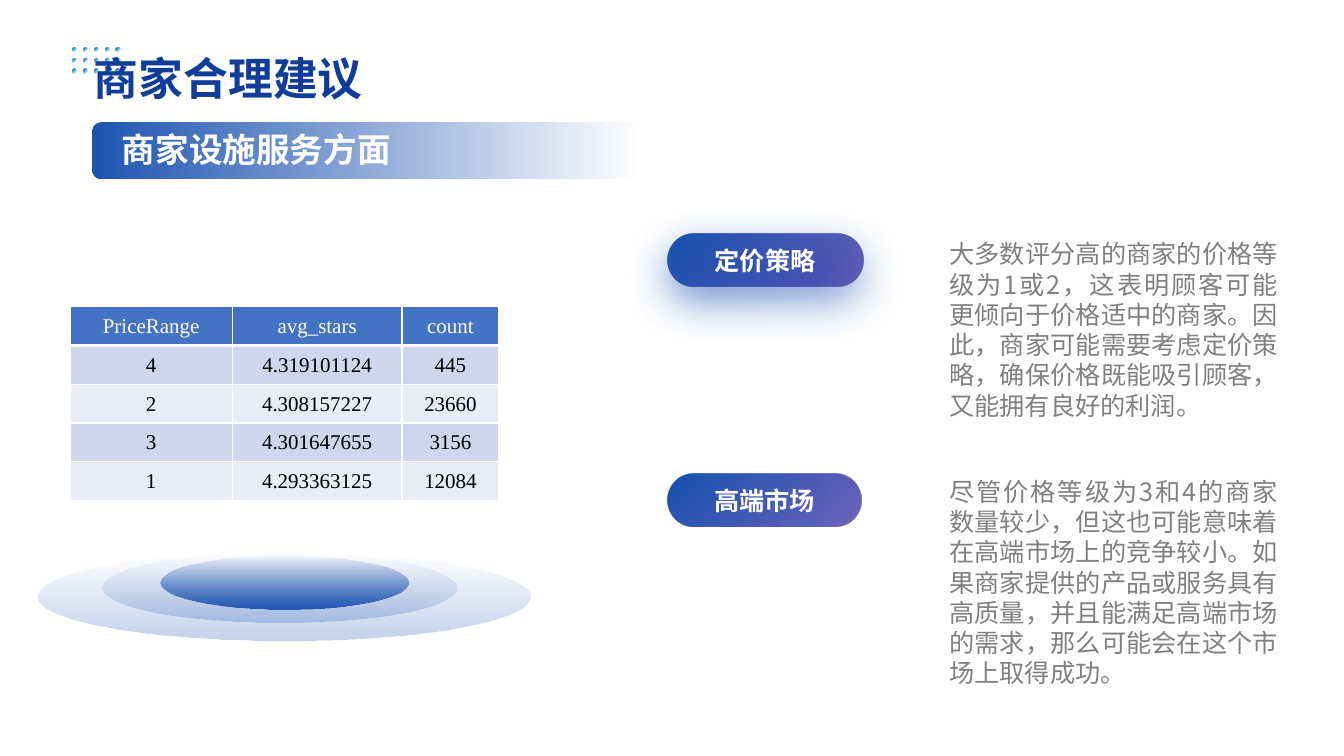
from itertools import product

from lxml.etree import SubElement
from pptx import Presentation
from pptx.dml.color import RGBColor
from pptx.enum.shapes import MSO_SHAPE
from pptx.enum.text import MSO_ANCHOR, MSO_AUTO_SIZE, PP_ALIGN
from pptx.oxml import parse_xml
from pptx.oxml.ns import nsdecls, qn
from pptx.util import Pt

COLORS = {
    "title": "0F3D99",
    "blue": "1D54B1",
    "violet": "463DA9",
    "dot": "006FAC",
    "dot_end": "0086CE",
    "body": "808080",
    "white": "FFFFFF",
    "black": "000000",
    "header": "4472C4",
    "odd_row": "CFD5EA",
    "even_row": "E9EBF5",
}
SANS = "Noto Sans CJK SC"
SERIF = "Times New Roman"

# Gradient stops: position in percent, colour name, opacity in percent
PILL_STOPS = [(8, "blue", 100), (100, "violet", 79)]
DOT_STOPS = [(18, "dot", 100), (82, "dot_end", 0)]
BANNER_STOPS = [(0, "blue", 100), (100, "blue", 0)]

PRICE_TABLE = [
    ("PriceRange", "avg_stars", "count"),
    ("4", "4.319101124", "445"),
    ("2", "4.308157227", "23660"),
    ("3", "4.301647655", "3156"),
    ("1", "4.293363125", "12084"),
]
PRICING_ADVICE = (
    "大多数评分高的商家的价格等级为1或2，这表明顾客可能更倾向于价格适中的商家。"
    "因此，商家可能需要考虑定价策略，确保价格既能吸引顾客，又能拥有良好的利润。"
)
PREMIUM_ADVICE = (
    "尽管价格等级为3和4的商家数量较少，但这也可能意味着在高端市场上的竞争较小。"
    "如果商家提供的产品或服务具有高质量，并且能满足高端市场的需求，"
    "那么可能会在这个市场上取得成功。"
)


def color(name):
    return RGBColor.from_string(COLORS[name])


def write(frame, text, size, color_name, font=SANS, bold=False, align=PP_ALIGN.LEFT):
    frame.text = text
    paragraph = frame.paragraphs[0]
    paragraph.alignment = align
    run = paragraph.runs[0]
    run.font.size = Pt(size)
    run.font.bold = bold
    run.font.name = font
    run.font.color.rgb = color(color_name)
    SubElement(run.font._element, qn("a:ea"), typeface=font)
    return paragraph


def add_gradient_shape(slide, preset, box, stops, angle):
    shape = slide.shapes.add_shape(preset, *map(Pt, box))
    shape.shadow.inherit = False
    shape.line.fill.background()
    stop_xml = "".join(
        f'<a:gs pos="{position * 1000}"><a:srgbClr val="{COLORS[name]}">'
        f'<a:alpha val="{opacity * 1000}"/></a:srgbClr></a:gs>'
        for position, name, opacity in stops
    )
    gradient = parse_xml(
        f'<a:gradFill {nsdecls("a")} rotWithShape="1"><a:gsLst>{stop_xml}</a:gsLst>'
        f'<a:lin ang="{angle * 60000}" scaled="0"/></a:gradFill>'
    )
    shape._element.spPr.find(qn("a:prstGeom")).addnext(gradient)
    return shape


def add_glow_shadow(shape):
    """Give the shape a soft blue shadow below it."""
    effects = shape._element.spPr.find(qn("a:effectLst"))
    effects.append(parse_xml(
        f'<a:outerShdw {nsdecls("a")} blurRad="{Pt(31)}" dist="{Pt(11.3)}" '
        f'dir="5400000" algn="ctr" rotWithShape="0"><a:srgbClr val="{COLORS["blue"]}">'
        '<a:alpha val="64000"/></a:srgbClr></a:outerShdw>'
    ))


def add_podium(slide):
    discs = [((26.6, 394.6, 352, 62.6), 27),
             ((73.4, 394.6, 252.7, 50.4), 25),
             ((114.5, 396.7, 177.1, 38.9), 100)]
    for box, opacity in discs:
        stops = [(0, "blue", 0), (100, "blue", opacity)]
        add_gradient_shape(slide, MSO_SHAPE.OVAL, box, stops, 90)


def add_dot_grid(slide):
    pitch = 7.75
    for row, column in product(range(3), range(5)):
        box = (51.8 + column * pitch, 33.8 + row * pitch, 3, 3)
        add_gradient_shape(slide, MSO_SHAPE.OVAL, box, DOT_STOPS, 45)


def add_pill(slide, label, top, width):
    box = (476.6, top, width, 37.8)
    pill = add_gradient_shape(slide, MSO_SHAPE.ROUNDED_RECTANGLE, box, PILL_STOPS, 45)
    pill.adjustments[0] = 0.5
    pill.text_frame.vertical_anchor = MSO_ANCHOR.MIDDLE
    write(pill.text_frame, label, 18, "white", bold=True, align=PP_ALIGN.CENTER)
    return pill


def place_title(slide, text):
    title = slide.shapes.title
    title.left, title.top, title.width, title.height = map(Pt, (67, 32.4, 209.5, 46))
    frame = title.text_frame
    frame.margin_left = 0
    frame.vertical_anchor = MSO_ANCHOR.TOP
    frame.auto_size = MSO_AUTO_SIZE.NONE
    write(frame, text, 32, "title", bold=True)
    slide.shapes._spTree.append(title._element)  # in front of the dots


def add_banner(slide, text):
    box = (66.2, 87.4, 390.2, 40)
    banner = add_gradient_shape(slide, MSO_SHAPE.ROUNDED_RECTANGLE, box, BANNER_STOPS, 0)
    banner.adjustments[0] = 0.139
    banner.text_frame.vertical_anchor = MSO_ANCHOR.MIDDLE
    paragraph = write(banner.text_frame, text, 24, "white", bold=True)
    paragraph.line_spacing = Pt(27)
    paragraph._p.get_or_add_pPr().set("indent", str(Pt(12.2)))


def add_advice(slide, text, top, height):
    advice = slide.shapes.add_textbox(Pt(671), Pt(top), Pt(249.1), Pt(height))
    advice.text_frame.word_wrap = True
    write(advice.text_frame, text, 18, "body", align=PP_ALIGN.JUSTIFY)


def set_borders(cell, bottom):
    properties = cell._tc.get_or_add_tcPr()
    for index, (side, width) in enumerate(zip("LRTB", (1, 1, 1, bottom))):
        properties.insert(index, parse_xml(
            f'<a:ln{side} {nsdecls("a")} w="{Pt(width)}"><a:solidFill>'
            f'<a:srgbClr val="{COLORS["white"]}"/></a:solidFill></a:ln{side}>'
        ))


def add_price_table(slide):
    widths = (116, 121.1, 69.4)
    row_height = 27.65
    table = slide.shapes.add_table(
        len(PRICE_TABLE), len(widths), Pt(50), Pt(219.2),
        Pt(sum(widths)), Pt(row_height * len(PRICE_TABLE)),
    ).table
    for column, width in zip(table.columns, widths):
        column.width = Pt(width)
    for row_index, values in enumerate(PRICE_TABLE):
        is_header = row_index == 0
        band = "header" if is_header else ("even_row", "odd_row")[row_index % 2]
        table.rows[row_index].height = Pt(row_height)
        for cell, value in zip(table.rows[row_index].cells, values):
            cell.margin_left = cell.margin_right = cell.margin_top = Pt(0.7)
            cell.margin_bottom = 0
            cell.vertical_anchor = MSO_ANCHOR.MIDDLE
            cell.fill.solid()
            cell.fill.fore_color.rgb = color(band)
            set_borders(cell, 3 if is_header else 1)
            write(cell.text_frame, value, 15, "white" if is_header else "black",
                  font=SERIF, align=PP_ALIGN.CENTER)


def main():
    presentation = Presentation()
    presentation.slide_width, presentation.slide_height = Pt(960), Pt(540)
    slide = presentation.slides.add_slide(presentation.slide_layouts[5])

    add_podium(slide)
    add_pill(slide, "高端市场", 338.4, 139)
    add_glow_shadow(add_pill(slide, "定价策略", 166.8, 140))
    add_dot_grid(slide)
    place_title(slide, "商家合理建议")
    add_banner(slide, "商家设施服务方面")
    add_advice(slide, PRICING_ADVICE, 167, 138.2)
    add_advice(slide, PREMIUM_ADVICE, 336.6, 159.8)
    add_price_table(slide)

    presentation.save("out.pptx")


if __name__ == "__main__":
    main()
